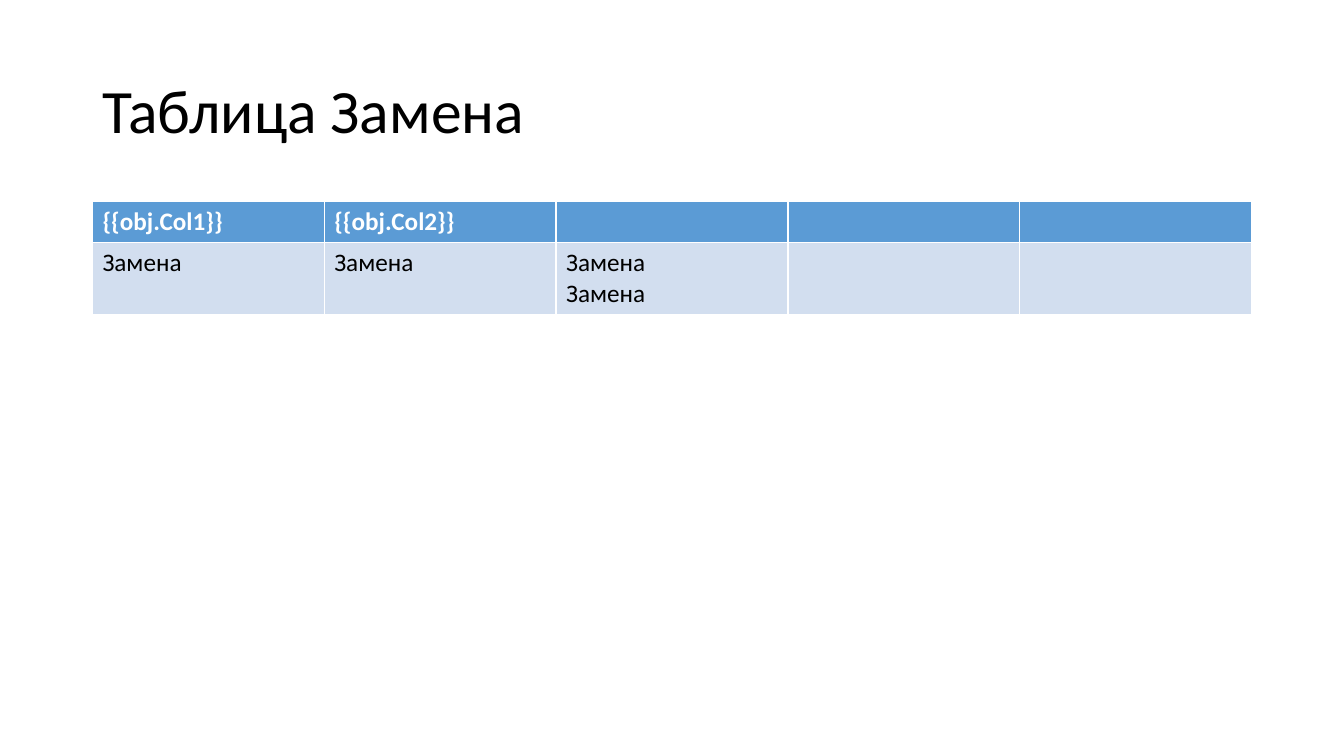
from pptx import Presentation
from pptx.dml.color import RGBColor
from pptx.enum.text import MSO_ANCHOR, PP_ALIGN
from pptx.util import Cm, Pt

COLORS = {"text": "000000", "header_text": "FFFFFF", "header": "5B9BD5", "body": "D2DEEF"}
FONT = "Calibri"
ROWS = [
    ["{{obj.Col1}}", "{{obj.Col2}}", "", "", ""],
    ["Замена", "Замена", "Замена\nЗамена", "", ""],
]
ROW_HEIGHT = Cm(1.03)


def style_paragraph(paragraph, size, color, bold=False):
    """Set the font of a whole paragraph."""
    font = paragraph.font
    font.name, font.size, font.bold = FONT, Pt(size), bold
    font.color.rgb = RGBColor.from_string(COLORS[color])


def add_title(slide, text, left, top, width, height):
    """Place the title placeholder in the given box."""
    title = slide.shapes.title
    title.left, title.top, title.width, title.height = left, top, width, height
    frame = title.text_frame
    frame.text = text
    frame.word_wrap = True
    frame.vertical_anchor = MSO_ANCHOR.MIDDLE
    paragraph = frame.paragraphs[0]
    paragraph.alignment = PP_ALIGN.LEFT
    paragraph.line_spacing = 0.9
    style_paragraph(paragraph, 44, "text")


def add_replacement_table(slide, rows, left, top, width):
    """Add a table of equal columns with a coloured header row."""
    table = slide.shapes.add_table(
        len(rows), len(rows[0]), left, top, width, ROW_HEIGHT * len(rows)
    ).table
    for row_index, values in enumerate(rows):
        is_header = row_index == 0
        fill_color = COLORS["header" if is_header else "body"]
        for column_index, value in enumerate(values):
            cell = table.cell(row_index, column_index)
            cell.fill.solid()
            cell.fill.fore_color.rgb = RGBColor.from_string(fill_color)
            cell.text = value
            for paragraph in cell.text_frame.paragraphs:
                style_paragraph(paragraph, 18, "header_text" if is_header else "text", is_header)


def main():
    """Build and save the presentation."""
    presentation = Presentation()
    presentation.slide_width, presentation.slide_height = Cm(33.87), Cm(19.05)
    slide = presentation.slides.add_slide(presentation.slide_layouts[5])
    left, width = Cm(2.33), Cm(29.21)
    add_title(slide, "Таблица Замена", left, Cm(1.01), width, Cm(3.68))
    add_replacement_table(slide, ROWS, left, Cm(5.08), width)
    presentation.save("out.pptx")


if __name__ == "__main__":
    main()
